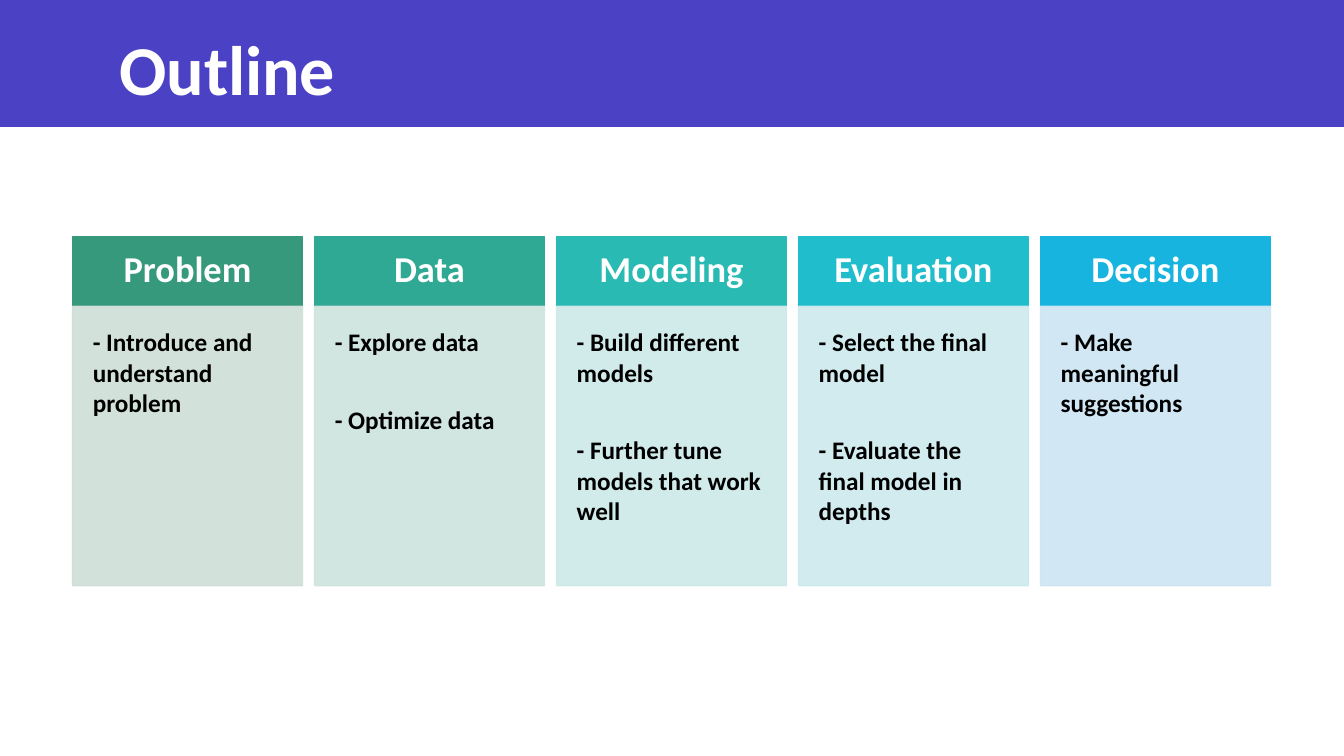
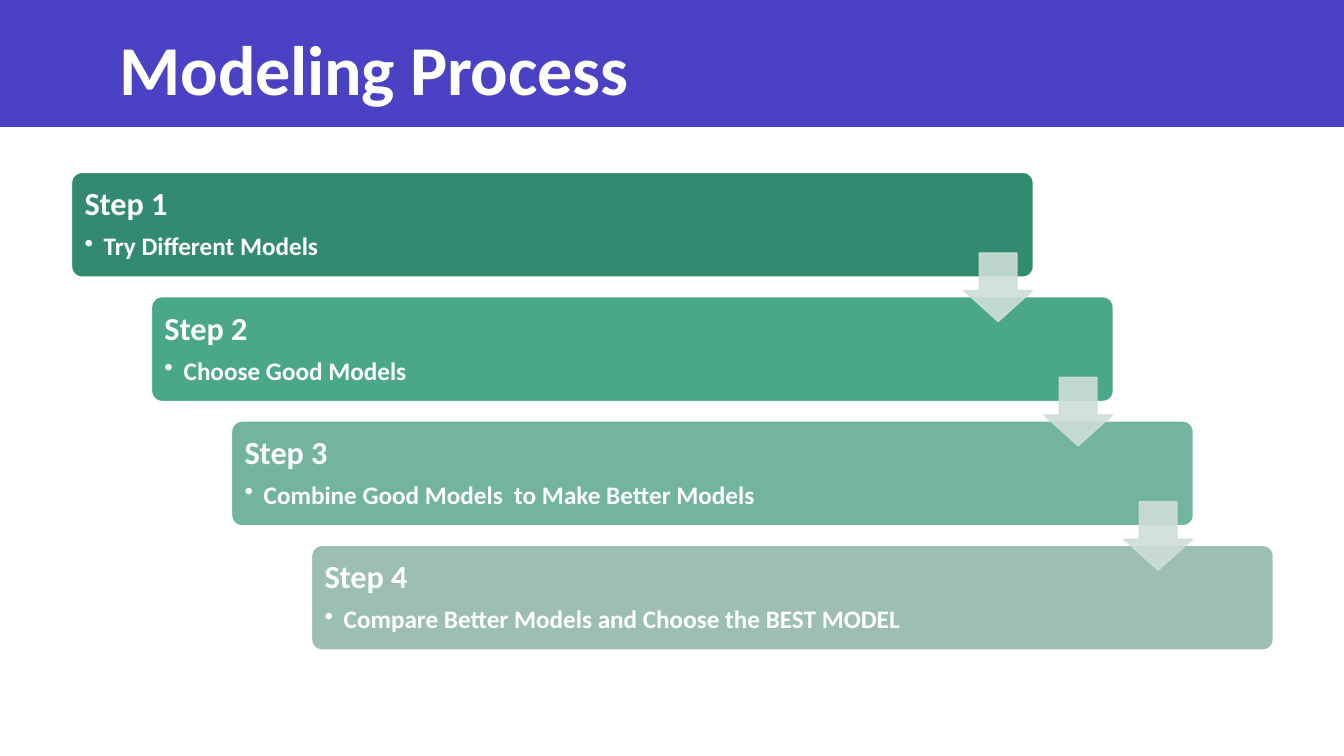
"""Build an outline slide and a modeling process slide."""
import dataclasses

import lxml.etree
import pptx
import pptx.dml.color
import pptx.enum.shapes
import pptx.enum.text
import pptx.oxml.ns
import pptx.util

Inches = pptx.util.Inches
Pt = pptx.util.Pt
SHAPE = pptx.enum.shapes.MSO_SHAPE
ALIGN = pptx.enum.text.PP_ALIGN
ANCHOR = pptx.enum.text.MSO_ANCHOR
qualified = pptx.oxml.ns.qn


@dataclasses.dataclass(frozen=True)
class Theme:
    font: str = "Calibri"
    band: str = "4A41C5"
    light: str = "FFFFFF"
    dark: str = "000000"
    arrow: str = "CEDED7"
    title_size: int = 50
    header_size: int = 26
    step_size: int = 23
    body_size: int = 18


theme = Theme()


def add_block(slide, kind, left, top, width, height, fill, line=None, opacity=100, inset=0.1):
    shape = slide.shapes.add_shape(kind, Inches(left), Inches(top), Inches(width), Inches(height))
    shape.shadow.inherit = False
    shape.fill.solid()
    shape.fill.fore_color.rgb = pptx.dml.color.RGBColor.from_string(fill)
    if line:
        shape.line.color.rgb = pptx.dml.color.RGBColor.from_string(line)
        shape.line.width = Pt(1)
    else:
        shape.line.fill.background()
    if opacity < 100:
        for color in shape._element.spPr.iter(qualified("a:srgbClr")):
            lxml.etree.SubElement(color, qualified("a:alpha")).set("val", str(opacity * 1000))
    frame = shape.text_frame
    frame.word_wrap = True
    frame.margin_left = frame.margin_right = Inches(inset)
    frame.margin_top = frame.margin_bottom = Inches(inset)
    return shape


def write_text(shape, text, size, color=theme.light, align=ALIGN.LEFT, anchor=ANCHOR.MIDDLE,
               line_spacing=1.0, space_after=0, bullet_indent=0, tracking=0):
    frame = shape.text_frame
    frame.vertical_anchor = anchor
    paragraph = frame.add_paragraph() if frame.text else frame.paragraphs[0]
    paragraph.alignment = align
    paragraph.line_spacing = line_spacing
    paragraph.space_after = Pt(space_after)
    run = paragraph.add_run()
    run.text = text
    run.font.name = theme.font
    run.font.size = Pt(size)
    run.font.bold = True
    run.font.color.rgb = pptx.dml.color.RGBColor.from_string(color)
    if tracking:
        run._r.get_or_add_rPr().set("spc", str(round(tracking * 100)))
    if bullet_indent:
        properties = paragraph._p.get_or_add_pPr()
        properties.set("marL", str(Inches(bullet_indent)))
        properties.set("indent", str(-Inches(bullet_indent)))
        lxml.etree.SubElement(properties, qualified("a:buChar")).set("char", "•")


presentation = pptx.Presentation()
presentation.slide_width = Inches(13.33)
presentation.slide_height = Inches(7.5)

slides = []
for title in ("Outline", "Modeling Process"):
    slide = presentation.slides.add_slide(presentation.slide_layouts[6])
    add_block(slide, SHAPE.RECTANGLE, 0, 0, 13.33, 1.26, theme.band)
    title_box = slide.shapes.add_textbox(Inches(1.09), Inches(0.25), Inches(10.96), Inches(0.83))
    title_box.text_frame.word_wrap = True
    write_text(title_box, title, theme.title_size, tracking=-0.2)
    slides.append(slide)
outline_slide, process_slide = slides

columns = (
    ("Problem", "37997B", "CEDED7", ("- Introduce and understand problem",)),
    ("Data", "30A994", "CDE4DE", ("- Explore data", "- Optimize data")),
    ("Modeling", "29BAB4", "CCE9E8",
     ("- Build different models", "- Further tune models that work well")),
    ("Evaluation", "20BECC", "CCE9EE",
     ("- Select the final model", "- Evaluate the final model in depths")),
    ("Decision", "17B4DF", "CCE5F3", ("- Make meaningful suggestions",)),
)
column_width = 2.28
column_pitch = column_width + 0.12
for index, (heading, header_color, body_color, items) in enumerate(columns):
    left = 0.72 + index * column_pitch
    header = add_block(outline_slide, SHAPE.RECTANGLE, left, 2.35, column_width, 0.68,
                       header_color, line=header_color, inset=0.18)
    write_text(header, heading, theme.header_size, align=ALIGN.CENTER, line_spacing=0.9)
    body = add_block(outline_slide, SHAPE.RECTANGLE, left, 3.04, column_width, 2.77,
                     body_color, line=body_color, opacity=90, inset=0.2)
    for item in items:
        write_text(body, item, theme.body_size, color=theme.dark, anchor=ANCHOR.TOP,
                   space_after=34)

steps = (
    ("328B70", "Try Different Models"),
    ("4AA888", "Choose Good Models"),
    ("73B49C", "Combine Good Models  to Make Better Models"),
    ("9CBFB2", "Compare Better Models and Choose the BEST MODEL"),
)
step_places = [(0.71 + index * 2.38 / 3, 1.71 + index * 3.7 / 3) for index in range(len(steps))]
for number, ((left, top), (color, detail)) in enumerate(zip(step_places, steps), start=1):
    step = add_block(process_slide, SHAPE.ROUNDED_RECTANGLE, left, top, 9.54, 1.04,
                     color, line=theme.light)
    step.adjustments[0] = 0.1
    write_text(step, f"Step {number}", theme.step_size, line_spacing=0.9, space_after=8)
    write_text(step, detail, theme.body_size, line_spacing=0.9, bullet_indent=0.19)

for left, top in step_places[:-1]:
    arrow = add_block(process_slide, SHAPE.DOWN_ARROW, left + 8.85, top + 0.8, 0.68, 0.68,
                      theme.arrow, line=theme.arrow, opacity=90)
    arrow.adjustments[0] = 0.55
    arrow.adjustments[1] = 0.45

presentation.save("out.pptx")
